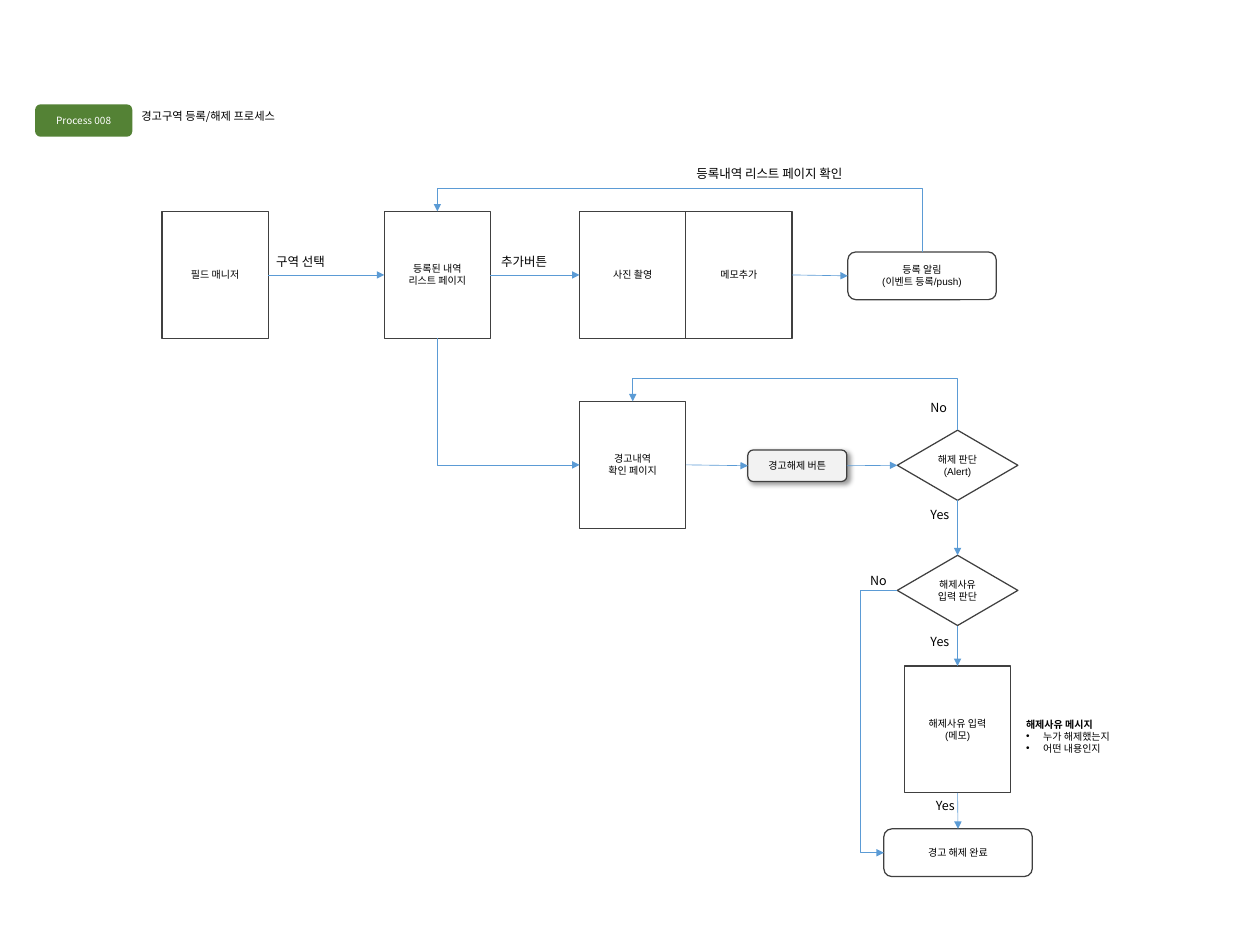
"""Build the flowchart slide for registering and clearing warning zones."""
from lxml import etree
from pptx import Presentation, util as u
from pptx.dml import color
from pptx.enum import shapes, text
from pptx.oxml import ns, xmlchemy

COLORS = {"badge": "548235", "box": "FFFFFF", "button": "F2F2F2", "outline": "404040",
          "arrow": "5B9BD5", "ink": "000000", "badge_ink": "FFFFFF"}
SANS, KOREAN = "Arial", "Noto Sans CJK KR"
TOP, LEFT, BOTTOM, RIGHT = range(4)
RECT, ROUND = shapes.MSO_SHAPE.RECTANGLE, shapes.MSO_SHAPE.ROUNDED_RECTANGLE
DIAMOND = shapes.MSO_SHAPE.DIAMOND


def rgb(name):
    return color.RGBColor.from_string(COLORS[name])


def write(box, lines, size, font, align, ink="ink", **frame_format):
    frame = box.text_frame
    frame.text = "\n".join(lines)
    for key, value in frame_format.items():
        setattr(frame, key, value)
    for paragraph in frame.paragraphs:
        paragraph.alignment = align
        paragraph.space_before = u.Pt(0)
        for run in paragraphs_runs if (paragraphs_runs := paragraph.runs) else ():
            for key, value in {"size": u.Pt(size), "name": font, "bold": False}.items():
                setattr(run.font, key, value)
            run.font.color.rgb = rgb(ink)
            east_asian = etree.SubElement(run._r.get_or_add_rPr(), ns.qn("a:ea"))
            east_asian.set("typeface", KOREAN)


deck = Presentation()
deck.slide_width, deck.slide_height = u.Inches(14), u.Inches(10.5)
slide = deck.slides.add_slide(deck.slide_layouts[1])

fitted = {"word_wrap": False, "auto_size": text.MSO_AUTO_SIZE.SHAPE_TO_FIT_TEXT,
          "margin_left": u.Inches(0.1), "margin_right": u.Inches(0.1),
          "margin_top": u.Inches(0.05), "margin_bottom": u.Inches(0.05)}
middle = {"vertical_anchor": text.MSO_ANCHOR.MIDDLE}
tight = {"margin_left": 0, "margin_right": 0, "margin_top": 0, "margin_bottom": 0,
         "word_wrap": True, **middle}

heading = slide.shapes.title
reasons = slide.placeholders[1]
for holder, place in ((heading, (1.47, 1.16, 1.86, 0.25)), (reasons, (11.3, 7.93, 1.22, 0.5))):
    for side, value in zip(("left", "top", "width", "height"), place):
        setattr(holder, side, u.Inches(value))
write(heading, ["경고구역 등록/해제 프로세스"], 9, KOREAN, text.PP_ALIGN.LEFT,
      vertical_anchor=text.MSO_ANCHOR.TOP, **fitted)
write(reasons, ["해제사유 메시지", "누가 해제했는지", "어떤 내용인지"], 8, KOREAN,
      text.PP_ALIGN.LEFT, **middle, **fitted)
reasons.text_frame.paragraphs[0].runs[0].font.bold = True
for number, paragraph in enumerate(reasons.text_frame.paragraphs):
    properties = paragraph._p.get_or_add_pPr()
    indent = u.Inches(0.19) if number else 0
    properties.set("marL", str(indent))
    properties.set("indent", str(-indent))
    if number:
        etree.SubElement(properties, ns.qn("a:buFont")).set("typeface", SANS)
        etree.SubElement(properties, ns.qn("a:buChar")).set("char", "•")
    else:
        etree.SubElement(properties, ns.qn("a:buNone"))

PAGE, PILL, CHOICE = (1.18, 1.41), (1.65, 0.53), (1.34, 0.78)
steps = {
    "badge": (ROUND, 0.39, 1.16, (1.08, 0.36), ["Process 008"]),
    "manager": (RECT, 1.8, 2.35, PAGE, ["필드 매니저"]),
    "list": (RECT, 4.27, 2.35, PAGE, ["등록된 내역", "리스트 페이지"]),
    "photo": (RECT, 6.44, 2.35, PAGE, ["사진 촬영"]),
    "memo": (RECT, 7.62, 2.35, PAGE, ["메모추가"]),
    "notice": (ROUND, 9.42, 2.8, PILL, ["등록 알림", "(이벤트 등록/push)"]),
    "warning": (RECT, 6.44, 4.46, PAGE, ["경고내역", "확인 페이지"]),
    "button": (ROUND, 8.31, 5, (1.1, 0.35), ["경고해제 버튼"]),
    "release": (DIAMOND, 9.97, 4.78, CHOICE, ["해제 판단", "(Alert)"]),
    "reason": (DIAMOND, 9.97, 6.17, CHOICE, ["해제사유", "입력 판단"]),
    "entry": (RECT, 10.05, 7.4, PAGE, ["해제사유 입력", "(메모)"]),
    "done": (ROUND, 9.82, 9.21, PILL, ["경고 해제 완료"]),
}
nodes = {}
for name, (kind, left, top, size, lines) in steps.items():
    node = slide.shapes.add_shape(kind, *map(u.Inches, (left, top, *size)))
    node.shadow.inherit = False
    node.fill.solid()
    node.fill.fore_color.rgb = rgb(name if name in COLORS else "box")
    if name == "badge":
        node.line.fill.background()
    else:
        node.line.color.rgb = rgb("outline")
        node.line.width = u.Pt(1)
    write(node, lines, 8, KOREAN if name == "badge" else SANS, text.PP_ALIGN.CENTER,
          "badge_ink" if name == "badge" else "ink", **tight)
    nodes[name] = node

effects = nodes["button"]._element.spPr.find(ns.qn("a:effectLst"))
shadow = etree.SubElement(effects, ns.qn("a:outerShdw"), blurRad=str(u.Pt(4)),
                          dist=str(u.Pt(3)), dir="2700000", algn="tl", rotWithShape="0")
shade = etree.SubElement(shadow, ns.qn("a:srgbClr"), val=COLORS["ink"])
etree.SubElement(shade, ns.qn("a:alpha"), val="40000")

flows = [
    ("manager", RIGHT, "list", LEFT, None),
    ("list", RIGHT, "photo", LEFT, None),
    ("memo", RIGHT, "notice", LEFT, None),
    ("warning", RIGHT, "button", LEFT, None),
    ("button", RIGHT, "release", LEFT, None),
    ("release", BOTTOM, "reason", TOP, None),
    ("reason", BOTTOM, "entry", TOP, None),
    ("entry", BOTTOM, "done", TOP, None),
    ("notice", TOP, "list", TOP, (270, "flipV", "bentConnector3", 156600)),
    ("list", BOTTOM, "warning", LEFT, (270, "flipH", "bentConnector2", None)),
    ("release", TOP, "warning", TOP, (270, "flipV", "bentConnector3", 179300)),
    ("reason", LEFT, "done", LEFT, (180, "flipV", "bentConnector3", 270700)),
]
for source, exit_side, target, entry_side, bend in flows:
    style = shapes.MSO_CONNECTOR.ELBOW if bend else shapes.MSO_CONNECTOR.STRAIGHT
    arrow = slide.shapes.add_connector(style, 0, 0, 0, 0)
    arrow.begin_connect(nodes[source], exit_side)
    arrow.end_connect(nodes[target], entry_side)
    arrow.line.color.rgb = rgb("arrow")
    arrow.line.width = u.Pt(0.5)
    properties = arrow._element.spPr
    etree.SubElement(arrow.line._get_or_add_ln(), ns.qn("a:tailEnd"), type="triangle")
    etree.SubElement(properties, ns.qn("a:effectLst"))
    if bend:
        angle, flip, preset, shift = bend
        center_x = (arrow.begin_x + arrow.end_x) // 2
        center_y = (arrow.begin_y + arrow.end_y) // 2
        width, height = arrow.width, arrow.height
        if angle == 270:
            width, height = height, width
        arrow.left, arrow.top = center_x - width // 2, center_y - height // 2
        arrow.width, arrow.height = width, height
        frame = properties.find(ns.qn("a:xfrm"))
        for key in ("flipH", "flipV"):
            frame.attrib.pop(key, None)
        frame.set("rot", str(angle * 60000))
        frame.set(flip, "1")
        geometry = properties.find(ns.qn("a:prstGeom"))
        geometry.set("prst", preset)
        if shift:
            guides = geometry.find(ns.qn("a:avLst"))
            etree.SubElement(guides, ns.qn("a:gd"), name="adj1", fmla=f"val {shift}")

labels = [
    ("구역 선택", 2.97, 2.77, 0.81), ("추가버튼", 5.47, 2.77, 0.76),
    ("등록내역 리스트 페이지 확인", 7.64, 1.79, 2.03),
    ("No", 10.24, 4.39, 0.39), ("Yes", 10.24, 5.58, 0.42),
    ("No", 9.57, 6.31, 0.39), ("Yes", 10.24, 6.99, 0.42), ("Yes", 10.3, 8.82, 0.42),
]
for words, left, top, width in labels:
    label = slide.shapes.add_textbox(*map(u.Inches, (left, top, width, 0.27)))
    write(label, [words], 10, KOREAN, text.PP_ALIGN.LEFT, **middle, **fitted)

deck.save("out.pptx")
